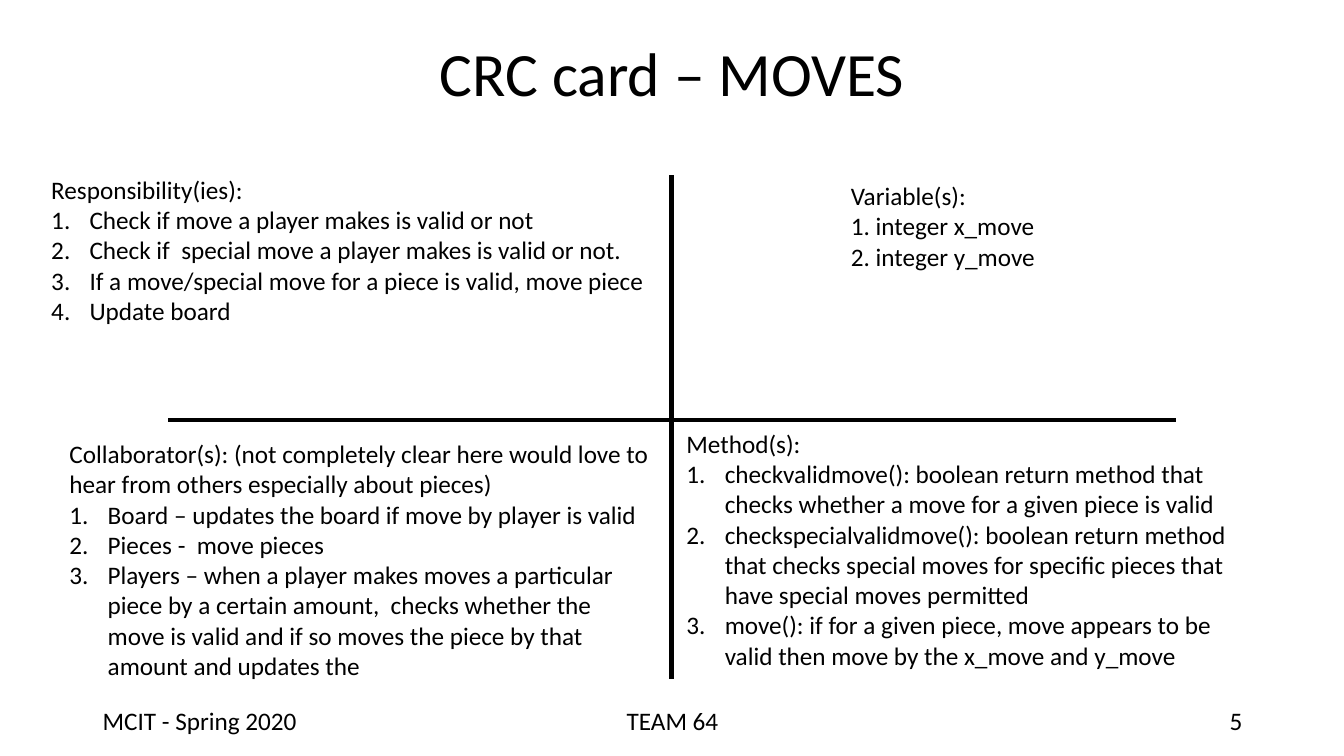
from lxml import etree
from pptx import Presentation
from pptx.dml.color import RGBColor
from pptx.enum.shapes import MSO_CONNECTOR as Conn
from pptx.enum.text import MSO_ANCHOR as Anchor, PP_ALIGN as Align
from pptx.oxml.ns import qn
from pptx.util import Inches, Pt

# Content: heading, items, and box (left, top, width, height)
TITLE = "CRC card – MOVES"
CARDS = [
    ("Responsibility(ies):", [
        "Check if move a player makes is valid or not",
        "Check if  special move a player makes is valid or not.",
        "If a move/special move for a piece is valid, move piece",
        "Update board",
    ], True, (0.41, 1.68, 7.51, 2.32)),
    ("Variable(s):", [
        "1. integer x_move",
        "2. integer y_move",
    ], False, (8.34, 1.74, 3.58, 1.88)),
    ("Collaborator(s): (not completely clear here would love to "
     "hear from others especially about pieces)", [
        "Board – updates the board if move by player is valid",
        "Pieces -  move pieces",
        "Players – when a player makes moves a particular piece by a "
        "certain amount,  checks whether the move is valid and if so "
        "moves the piece by that amount and updates the",
    ], True, (0.59, 4.3, 5.95, 2.52)),
    ("Method(s):", [
        "checkvalidmove(): boolean return method that checks whether "
        "a move for a given piece is valid",
        "checkspecialvalidmove(): boolean return method that checks "
        "special moves for specific pieces that have special moves permitted",
        "move(): if for a given piece, move appears to be valid then "
        "move by the x_move and y_move",
    ], True, (6.71, 4.2, 5.59, 3.43)),
]
FOOTER = [
    ("MCIT - Spring 2020", Align.LEFT, 3),
    ("TEAM 64", Align.CENTER, 4.5),
    ("5", Align.RIGHT, 3),
]

# Style and layout
BLACK = RGBColor(0, 0, 0)
FONT = "Calibri"
WIDE, HIGH = 13.33, 7.5
EDGE, GAP = 0.92, 0.5
INDENT = Inches(0.38)
MID = (6.66, 4.17)
CROSS = [(MID[0], 1.74, MID[0], 6.74), (1.67, MID[1], 11.66, MID[1])]

deck = Presentation()
deck.slide_width, deck.slide_height = Inches(WIDE), Inches(HIGH)
slide = deck.slides.add_slide(deck.slide_layouts[6])


def number(para):
    props = para._p.get_or_add_pPr()
    props.set("marL", str(INDENT))
    props.set("indent", str(-INDENT))
    etree.SubElement(props, qn("a:buFont"), typeface="+mj-lt")
    etree.SubElement(props, qn("a:buAutoNum"), type="arabicPeriod")


def write(lines, box, size=18, align=Align.LEFT, anchor=Anchor.TOP,
          listed=False, space=1.0):
    frame = slide.shapes.add_textbox(*map(Inches, box)).text_frame
    frame.word_wrap = True
    frame.vertical_anchor = anchor
    for i, line in enumerate(lines):
        para = frame.add_paragraph() if i else frame.paragraphs[0]
        para.alignment, para.line_spacing = align, space
        run = para.add_run()
        run.text = line
        run.font.name, run.font.size = FONT, Pt(size)
        run.font.color.rgb = BLACK
        if listed and i:
            number(para)


# Title
write([TITLE], (EDGE, 0.03, WIDE - 2 * EDGE, 1.45), size=44,
      align=Align.CENTER, anchor=Anchor.MIDDLE, space=0.9)

# Cross between the four cards
for ends in CROSS:
    bar = slide.shapes.add_connector(Conn.STRAIGHT, *map(Inches, ends))
    bar.line.color.rgb, bar.line.width = BLACK, Pt(3)
    etree.SubElement(bar._element.spPr, qn("a:effectLst"))

# Cards
for head, items, listed, box in CARDS:
    write([head, *items], box, listed=listed)

# Footer
left = EDGE
for text, align, width in FOOTER:
    write([text], (left, 6.95, width, 0.4), align=align, anchor=Anchor.MIDDLE)
    left += width + GAP

deck.save("out.pptx")
